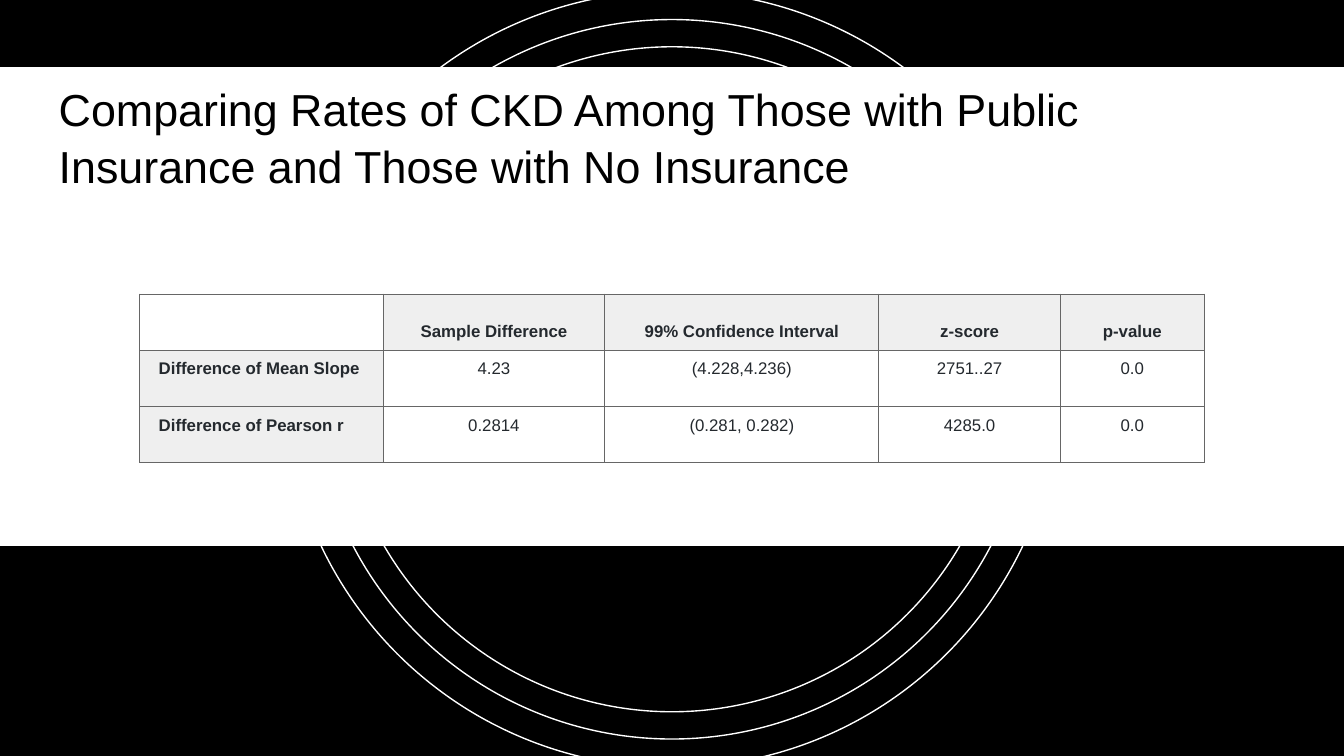
from pptx import Presentation
from pptx.dml.color import RGBColor
from pptx.enum import shapes, text
from pptx.oxml import parse_xml
from pptx.oxml.ns import nsdecls
from pptx.util import Cm, Pt


def tint(code):
    return RGBColor.from_string(code)


def write(frame, words, size=9, color="24292E", bold=False, align="CENTER", space=1.0):
    para = frame.paragraphs[0]
    para.text = words
    para.alignment = getattr(text.PP_ALIGN, align)
    para.line_spacing = space
    for font in [para.font] + [run.font for run in para.runs]:
        font.name = "Arial"
        font.size = Pt(size)
        font.bold = bold
        font.color.rgb = tint(color)


deck = Presentation()
deck.slide_width, deck.slide_height = Cm(25.4), Cm(14.29)
slide = deck.slides.add_slide(deck.slide_layouts[6])
kinds = shapes.MSO_SHAPE

for top, high in [(0, 1.25), (10.33, 3.96)]:
    band = slide.shapes.add_shape(kinds.RECTANGLE, 0, Cm(top), Cm(25.4), Cm(high))
    band.shadow.inherit = False
    band.fill.solid()
    band.fill.fore_color.rgb = tint("000000")
    band.line.color.rgb = tint("000000")
    band.line.width = Pt(0.75)

for size in [12.57, 13.6, 14.68]:
    ring = slide.shapes.add_shape(
        kinds.OVAL, Cm(12.7 - size / 2), Cm(7.17 - size / 2), Cm(size), Cm(size))
    ring.shadow.inherit = False
    ring.fill.background()
    ring.line.color.rgb = tint("FFFFFF")
    ring.line.width = Pt(0.75)

rows = [
    ["", "Sample Difference", "99% Confidence Interval", "z-score", "p-value"],
    ["Difference of Mean Slope", "4.23", "(4.228,4.236)", "2751..27", "0.0"],
    ["Difference of Pearson r", "0.2814", "(0.281, 0.282)", "4285.0", "0.0"],
]
wides = [4.6, 4.19, 5.18, 3.43, 2.72]
high = 1.06
grid = slide.shapes.add_table(
    len(rows), len(wides), Cm(2.64), Cm(5.56), Cm(sum(wides)), Cm(high * len(rows))).table
grid.first_row = grid.horz_banding = False
for col, wide in zip(grid.columns, wides):
    col.width = Cm(wide)

for y, row in enumerate(rows):
    grid.rows[y].height = Cm(high)
    for x, words in enumerate(row):
        cell = grid.cell(y, x)
        head = x == 0 or y == 0
        write(cell.text_frame, words, bold=head, align="CENTER" if x else "LEFT")
        cell.vertical_anchor = text.MSO_ANCHOR.TOP if y else text.MSO_ANCHOR.BOTTOM
        cell.margin_left = cell.margin_right = Cm(0.18 if (y, x) == (0, 4) else 0.36)
        cell.margin_top = cell.margin_bottom = Cm(0.18)
        props = cell._tc.get_or_add_tcPr()
        for side in "LRTB":
            thick = Pt(0.75 if x == y == 0 and side in "LT" else 0.5)
            props.append(parse_xml(
                f'<a:ln{side} {nsdecls("a")} w="{thick}"><a:solidFill>'
                f'<a:srgbClr val="666666"/></a:solidFill></a:ln{side}>'))
        if head and words:
            cell.fill.solid()
            cell.fill.fore_color.rgb = tint("EFEFEF")
        else:
            cell.fill.background()

title = slide.shapes.add_textbox(Cm(0.86), Cm(1.25), Cm(23.67), Cm(1.6)).text_frame
title.word_wrap = True
title.margin_left = title.margin_right = title.margin_top = title.margin_bottom = Cm(0.25)
write(title, "Comparing Rates of CKD Among Those with Public Insurance and Those with No Insurance",
      size=24, color="000000", align="LEFT", space=1.05)

deck.save("out.pptx")
